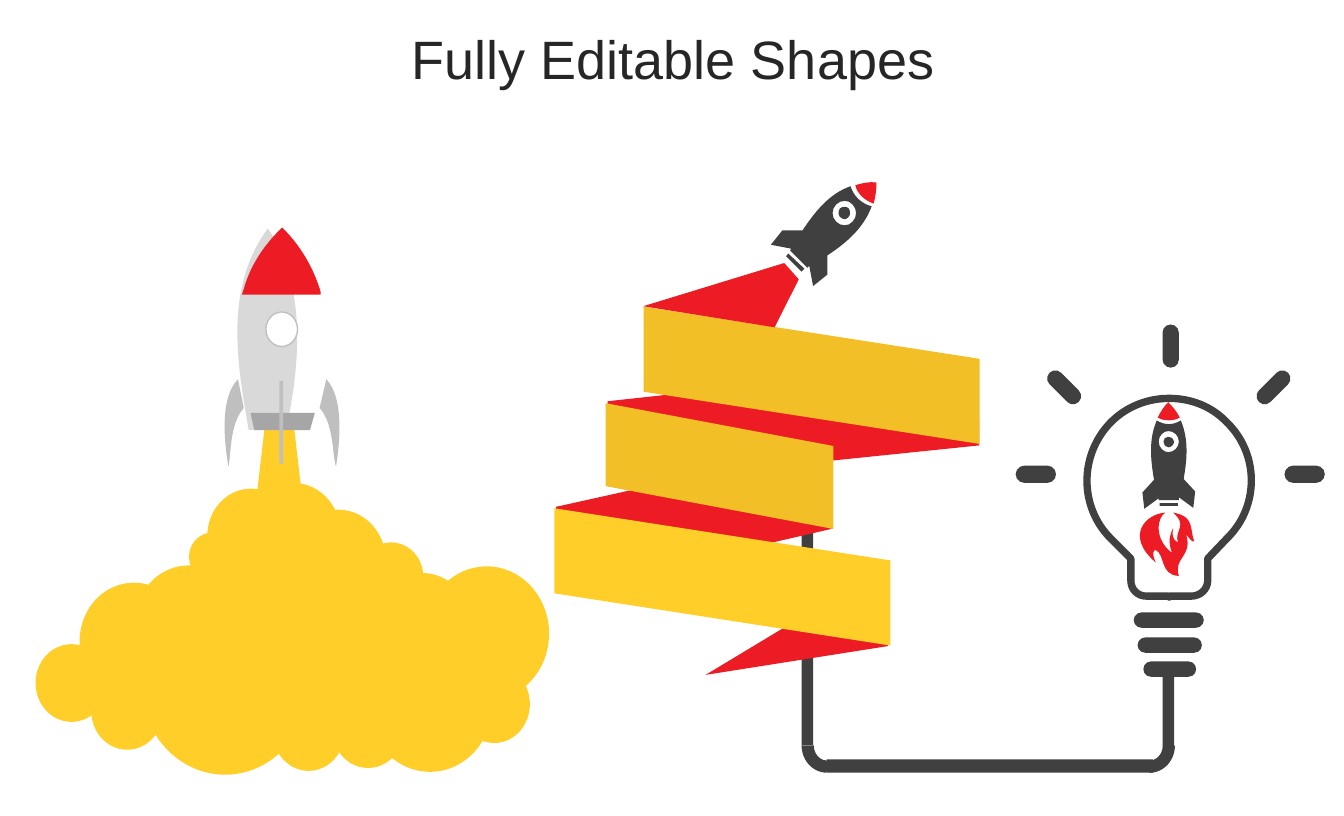
import lxml.etree
import pptx
import pptx.dml.color
import pptx.enum.shapes
import pptx.enum.text
import pptx.oxml.ns
import pptx.util

PX = 9144  # EMU per px, 100 px to the inch
KIND = pptx.enum.shapes.MSO_SHAPE
GOLD, AMBER, RED, DARK = "FFCE29", "F2BF27", "ED1C24", "404040"
WHITE, PALE, SILVER, GREY = "FFFFFF", "D9D9D9", "BFBFBF", "A6A6A6"


def emu(*sizes):
    return [pptx.util.Emu(size * PX) for size in sizes]


def tint(code):
    return pptx.dml.color.RGBColor.from_string(code)


def paint(shape, fill, line=None, width=1):
    shape.shadow.inherit = False
    shape.fill.solid()
    shape.fill.fore_color.rgb = tint(fill)
    if line:
        shape.line.color.rgb = tint(line)
        shape.line.width = pptx.util.Pt(width)
    else:
        shape.line.fill.background()


def preset(group, kind, box, fill, adj=(), turn=0, line=None):
    shape = group.shapes.add_shape(kind, *emu(*box))
    for i, value in enumerate(adj):
        shape.adjustments[i] = value
    shape.rotation = turn
    paint(shape, fill, line)


def steps(data):
    """Yield (mark, points); C takes three points, M and L one, Z none."""
    mark, points = "", []
    for word in data.split():
        if word.isalpha():
            mark = word
            if mark == "Z":
                yield mark, []
            continue
        points.append(tuple(int(part) for part in word.split(",")))
        if len(points) == (3 if mark == "C" else 1):
            yield mark, points
            points = []


def outline(group, data, fill, line=None, width=1):
    moves = list(steps(data))
    pen = group.shapes.build_freeform(*moves[0][1][0], scale=PX)
    for mark, points in moves[1:]:
        if mark == "M":
            pen.move_to(*points[0])
        else:
            pen.add_line_segments(points[-1:], close=mark == "Z")
    shape = pen.convert_to_shape()

    # Turn the line segments of C steps into curves
    qn = pptx.oxml.ns.qn
    left = min(points[-1][0] for mark, points in moves if points)
    top = min(points[-1][1] for mark, points in moves if points)
    nodes = list(shape.element.find(".//" + qn("a:path")))
    for node, (mark, points) in zip(nodes, moves):
        if mark == "C":
            node.tag = qn("a:cubicBezTo")
            for i, (x, y) in enumerate(points[:2]):
                node.insert(i, lxml.etree.Element(
                    qn("a:pt"), x=str(x - left), y=str(y - top)))
    paint(shape, fill, line, width)


def title(slide, text):
    shape = slide.shapes.title
    shape.left, shape.top, shape.width, shape.height = emu(37, 15, 1329, 90)
    frame = shape.text_frame
    frame.word_wrap = True
    frame.auto_size = pptx.enum.text.MSO_AUTO_SIZE.NONE
    frame.vertical_anchor = pptx.enum.text.MSO_ANCHOR.MIDDLE
    para = frame.paragraphs[0]
    para.alignment = pptx.enum.text.PP_ALIGN.CENTER
    para.space_before = pptx.util.Pt(0)
    run = para.add_run()
    run.text = text
    run.font.name = "Arial"
    run.font.size = pptx.util.Pt(40.5)
    run.font.color.rgb = tint("262626")


def cloud(group):
    puffs = [
        (216, 509, 91, 98), (197, 555, 47, 50), (140, 589, 113, 122),
        (83, 607, 113, 122), (37, 671, 75, 81), (95, 700, 75, 81),
        (147, 618, 175, 189), (284, 722, 75, 81), (346, 719, 75, 81),
        (383, 664, 130, 140), (478, 693, 74, 81), (442, 590, 130, 140),
        (256, 503, 99, 107), (303, 531, 99, 107), (374, 565, 67, 72),
        (391, 597, 99, 107), (213, 553, 203, 219),
    ]
    for box in puffs:
        preset(group, KIND.OVAL, box, GOLD)
    preset(group, KIND.TRAPEZOID, (262, 438, 58, 125), GOLD, [0.25])


def rocket(group):
    # Hull, base and nose
    outline(group, "M 259,448 C 248,383 232,302 279,238 "
            "324,304 309,395 298,448 Z", PALE)
    outline(group, "M 261,430 L 328,430 323,448 265,448 Z", GREY)
    outline(group, "M 294,237 C 315,258 327,281 334,304 L 334,307 252,307 "
            "254,301 C 260,279 273,257 294,237 Z", RED)
    # Window and fins
    preset(group, KIND.OVAL, (277, 325, 33, 36), WHITE, line=SILVER)
    preset(group, KIND.RECTANGLE, (291, 397, 4, 86), SILVER)
    outline(group, "M 248,395 L 254,425 C 239,442 241,473 238,486 "
            "235,469 227,416 248,395 Z", SILVER)
    outline(group, "M 340,395 L 333,425 C 348,442 346,473 350,486 "
            "353,469 360,416 340,395 Z", SILVER)


def cable(group):
    bars = [(835, 427, 12, 349), (861, 791, 340, 14), (1211, 705, 12, 72)]
    bends = [((835, 748, 53, 57), 0), ((1169, 750, 57, 53), 270)]
    for box in bars:
        preset(group, KIND.RECTANGLE, box, DARK)
    for box, turn in bends:
        preset(group, KIND.BLOCK_ARC, box, DARK, [54.32, 108.17, 0.24], turn)


def bulb(group):
    outline(group, "M 1218,415 C 1240,415 1262,423 1278,440 "
            "1312,473 1312,528 1278,561 L 1258,582 1258,605 "
            "C 1258,614 1250,621 1241,621 L 1218,621 1218,622 1217,621 "
            "1194,621 C 1185,621 1178,614 1178,605 L 1178,582 "
            "C 1171,575 1164,568 1157,561 1124,528 1124,474 1157,440 "
            "1174,423 1196,415 1218,415 Z", WHITE, DARK, 5.5)
    # Screw rings, then rays
    pills = [
        ((1181, 638, 73, 16), 0), ((1185, 664, 67, 16), 0),
        ((1191, 689, 55, 16), 0),
        ((1318, 382, 17, 43), 45), ((1100, 382, 17, 43), 315),
        ((1211, 338, 17, 45), 0),
        ((1350, 473, 18, 42), 90), ((1070, 473, 18, 42), 270),
    ]
    for box, turn in pills:
        preset(group, KIND.ROUNDED_RECTANGLE, box, DARK, [0.5], turn)
    # Rocket inside: body, nose and flame
    outline(group, "M 1208,524 L 1227,524 C 1227,525 1227,526 1227,527 "
            "L 1208,527 Z M 1217,455 C 1220,455 1223,457 1223,460 "
            "1223,463 1220,466 1217,466 1214,466 1212,463 1212,460 "
            "1212,457 1214,455 1217,455 Z M 1217,449 "
            "C 1212,449 1207,454 1207,460 1207,466 1212,471 1217,471 "
            "1223,471 1228,466 1228,460 1228,454 1223,449 1217,449 Z "
            "M 1205,438 C 1213,443 1222,443 1230,438 1239,459 1236,481 "
            "1233,499 L 1245,512 1243,529 1228,518 1228,521 1207,521 "
            "C 1207,520 1207,519 1207,519 L 1192,530 1190,513 1202,500 "
            "1202,499 C 1199,481 1196,458 1205,438 Z", DARK)
    outline(group, "M 1217,419 C 1222,424 1226,429 1229,435 "
            "1222,439 1213,439 1206,435 1209,429 1212,424 1217,419 Z", RED)
    outline(group, "M 1214,534 C 1205,539 1202,562 1221,576 "
            "1216,563 1219,557 1222,550 1222,553 1219,561 1227,565 "
            "1223,552 1238,548 1222,534 1245,538 1239,551 1244,564 "
            "1240,565 1234,553 1236,558 1242,580 1222,581 1228,600 "
            "1208,599 1214,578 1204,573 1202,573 1199,575 1204,586 "
            "1171,558 1194,535 1214,534 Z", RED)


def ribbon(group):
    # Flying rocket: body and nose
    outline(group, "M 821,264 L 838,280 C 837,281 836,282 835,283 "
            "L 819,267 Z M 884,217 C 886,220 886,224 884,226 "
            "882,229 878,229 875,226 873,224 873,220 875,217 "
            "878,215 882,215 884,217 Z M 888,213 "
            "C 884,208 876,208 871,213 866,218 866,226 871,231 "
            "876,236 884,236 888,231 893,226 893,218 888,213 Z "
            "M 886,194 C 889,204 897,212 908,215 899,239 880,254 862,266 "
            "L 862,286 847,298 843,277 841,279 823,261 "
            "C 824,260 824,259 824,259 L 803,255 815,240 835,240 836,240 "
            "C 848,222 863,202 886,194 Z", DARK)
    outline(group, "M 913,190 C 913,198 912,205 910,212 "
            "901,209 893,202 891,193 897,191 905,189 913,190 Z", RED)
    # Back folds
    outline(group, "M 925,673 L 735,703 926,588 "
            "C 926,617 925,645 925,673 Z", RED)
    outline(group, "M 865,464 C 805,477 675,507 579,528 "
            "579,559 579,586 580,617 L 866,551 "
            "C 867,520 866,508 865,464 Z", RED)
    outline(group, "M 633,418 L 1019,376 C 1019,405 1020,435 1020,464 "
            "L 632,504 C 633,475 633,447 633,418 Z", RED)
    # Front bands, then the tip
    bands = [((774, 216, 143, 350), AMBER, 0.38),
             ((684, 367, 131, 237), AMBER, 0.34),
             ((681, 426, 143, 350), GOLD, 0.38)]
    for box, fill, slant in bands:
        preset(group, KIND.PARALLELOGRAM, box, fill, [slant], 90)
    outline(group, "M 817,274 L 670,319 807,341 832,291 Z", RED)


def main():
    deck = pptx.Presentation()
    deck.slide_width, deck.slide_height = emu(1400, 850)
    slide = deck.slides.add_slide(deck.slide_layouts[5])
    title(slide, "Fully Editable Shapes")

    # One group per drawing, from back to front
    parts = [[cloud], [rocket], [cable, bulb], [ribbon]]
    for part in parts:
        group = slide.shapes.add_group_shape()
        for draw in part:
            draw(group)
    deck.save("out.pptx")


if __name__ == "__main__":
    main()
